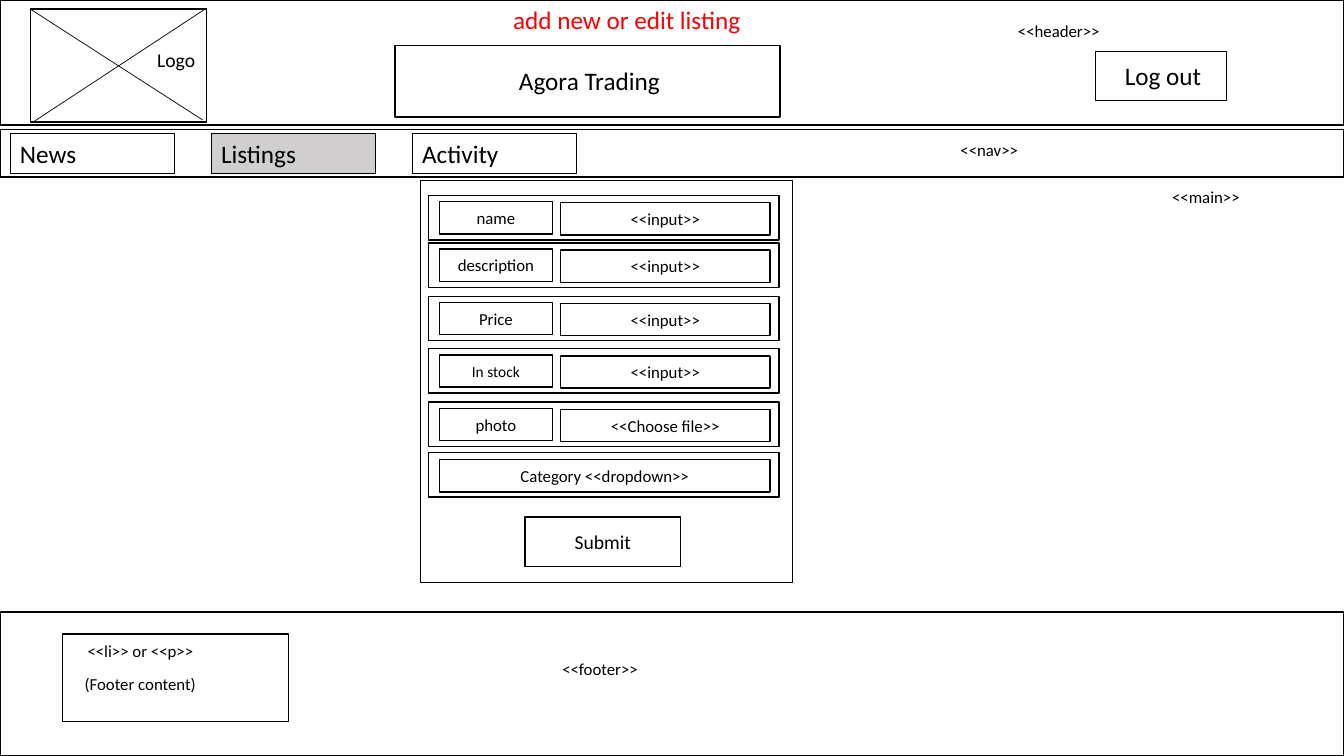
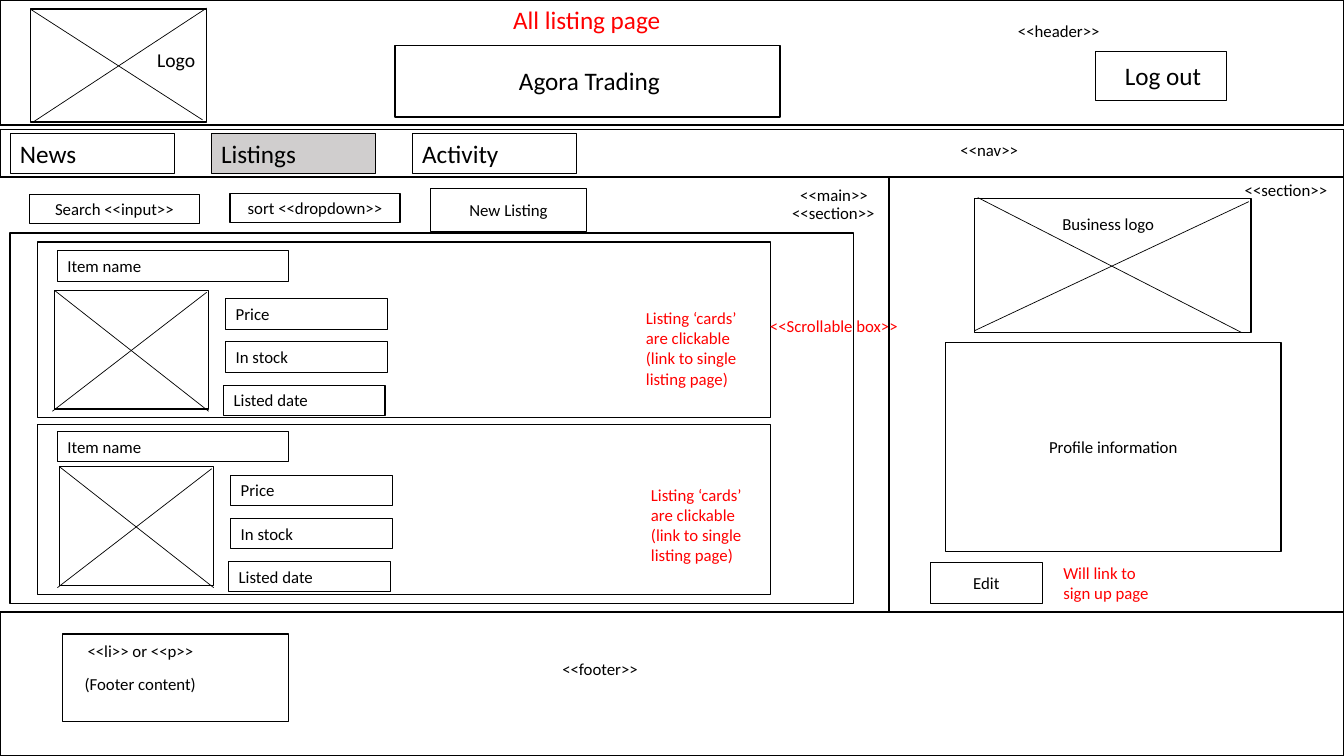
"""Build two website wireframes on a shared page frame."""
from lxml.etree import SubElement
from pptx import Presentation
from pptx.dml.color import RGBColor
from pptx.enum.shapes import MSO_CONNECTOR, MSO_SHAPE
from pptx.enum.text import MSO_ANCHOR, MSO_AUTO_SIZE, PP_ALIGN
from pptx.oxml.ns import qn
from pptx.util import Inches, Pt

COLORS = {"ink": "000000", "note": "FF0000", "active": "D0CECE", "paper": "FFFFFF"}
FONT = "Calibri"
CELL = 0.1
COLUMNS, ROWS = 133.33, 75
TITLE_ONLY = 5
CARD_NOTE = "Listing ‘cards’ are clickable (link to single listing page)"


def cells(*counts):
    return [Inches(count * CELL) for count in counts]


def color(name):
    return RGBColor.from_string(COLORS[name])


def write(shape, text, size=12, ink="ink", centered=False):
    frame = shape.text_frame
    frame.word_wrap = True
    frame.auto_size = MSO_AUTO_SIZE.NONE
    frame.vertical_anchor = MSO_ANCHOR.MIDDLE if centered else MSO_ANCHOR.TOP
    paragraph = frame.paragraphs[0]
    paragraph.alignment = PP_ALIGN.CENTER if centered else PP_ALIGN.LEFT
    run = paragraph.add_run()
    run.text = text
    run.font.name = FONT
    run.font.size = Pt(size)
    run.font.color.rgb = color(ink)


def add_label(slide, area, text, **text_format):
    write(slide.shapes.add_textbox(*cells(*area)), text, **text_format)


def add_box(slide, area, text=None, fill=None, weight=1, **text_format):
    shape = slide.shapes.add_shape(MSO_SHAPE.RECTANGLE, *cells(*area))
    shape.shadow.inherit = False
    if fill:
        shape.fill.solid()
        shape.fill.fore_color.rgb = color(fill)
    else:
        shape.fill.background()
    shape.line.color.rgb = color("ink")
    shape.line.width = Pt(weight)
    if text:
        write(shape, text, **text_format)


def add_button(slide, area, text, **box_format):
    add_box(slide, area, text, centered=True, **box_format)


def add_field(slide, area, text, **box_format):
    add_box(slide, area, text, weight=0.75, **box_format)


def add_image_box(slide, area, *diagonals):
    add_box(slide, area)
    left, top = area[:2]
    for x1, y1, x2, y2 in diagonals:
        ends = cells(left + x1, top + y1, left + x2, top + y2)
        line = slide.shapes.add_connector(MSO_CONNECTOR.STRAIGHT, *ends)
        line.line.color.rgb = color("ink")
        line.line.width = Pt(0.5)
        SubElement(line._element.spPr, qn("a:effectLst"))


def add_page(presentation, title, main_label):
    slide = presentation.slides.add_slide(presentation.slide_layouts[TITLE_ONLY])
    heading = slide.shapes.title
    heading.left, heading.top, heading.width, heading.height = cells(49.9, -0.1, 44.4, 4)
    write(heading, title, size=18, ink="note")

    for top, height in ((0, 12.4), (12.85, 4.7), (60.7, ROWS - 60.7)):
        add_box(slide, (0, top, COLUMNS, height))
    add_image_box(slide, (3, 0.9, 17.5, 11.2), (0, 0, 17.1, 11), (17.5, -0.1, 0.3, 11.2))
    add_label(slide, (14.6, 4.3, 6.5, 3.4), "Logo", size=14)
    add_box(slide, (39.2, 4.5, 38.2, 7.1))
    add_label(slide, (50.5, 6, 18.9, 4), "Agora Trading", size=18)
    add_box(slide, (108.7, 5.1, 13, 4.9))
    add_label(slide, (110.6, 5.5, 11.9, 4), "Log out", size=18)

    for index, (text, fill) in enumerate((("News", None), ("Listings", "active"), ("Activity", None))):
        add_field(slide, (1 + index * 19.95, 13.2, 16.3, 4), text, fill=fill, size=18)

    add_box(slide, (6.2, 62.9, 22.4, 8.7))
    for area, text in (
        ((100, 1.6, 17.5, 3), "<<header>>"),
        ((94.3, 13.4, 17.5, 3), "<<nav>>"),
        ((*main_label, 8.9, 3), "<<main>>"),
        ((54.8, 64.9, 15.9, 3), "<<footer>>"),
        ((7.7, 63.1, 14.9, 3), "<<li>> or <<p>>"),
        ((7.4, 66.3, 14.9, 3), "(Footer content)"),
    ):
        add_label(slide, area, text)
    return slide


def add_form_row(slide, top, name=None, entry="<<input>>", size=12):
    add_box(slide, (42.5, top, 34.8, 4.4))
    left = 43.6
    if name:
        add_button(slide, (left, top + 0.6, 11.2, 3.2), name, size=size)
        left = 55.6
    add_button(slide, (left, top + 0.7, 76.4 - left, 3.2), entry)


def add_card(slide, top, height, name_top, image_left, image_top):
    add_box(slide, (3.75, top, 72.7, height))
    add_field(slide, (5.7, name_top, 22.9, 3), "Item name")
    add_image_box(slide, (image_left, image_top, 15.3, 11.8),
                  (0, 0, 15.3, 12), (15.1, 0.2, -0.2, 12))
    for index, (text, shift) in enumerate((("Price", 17), ("In stock", 17), ("Listed date", 16.8))):
        area = (image_left + shift, image_top + 0.85 + index * 4.28, 16, 3)
        add_field(slide, area, text)
    add_label(slide, (image_left + 57.7, image_top + 1.25, 12, 9.1), CARD_NOTE, ink="note")


def build_edit_page(presentation):
    slide = add_page(presentation, "add new or edit listing", (115.3, 18))
    add_box(slide, (41.7, 17.9, 36.9, 39.9))
    add_form_row(slide, 19.4, "name")
    add_form_row(slide, 24.1, "description")
    add_form_row(slide, 29.4, "Price")
    add_form_row(slide, 34.6, "In stock", size=11)
    add_form_row(slide, 39.9, "photo", "<<Choose file>>")
    add_form_row(slide, 44.9, entry="Category <<dropdown>>")
    add_button(slide, (52.1, 51.3, 15.4, 4.9), "Submit", size=14)


def build_listing_page(presentation):
    slide = add_page(presentation, "All listing page", (78.4, 17.8))
    add_button(slide, (2.9, 19.3, 16.9, 2.9), "Search <<input>>", fill="paper")
    add_button(slide, (22.8, 19.2, 16.9, 2.9), "sort <<dropdown>>", fill="paper")
    add_button(slide, (42.7, 18.7, 15.5, 4.3), "New Listing", fill="paper")
    add_label(slide, (77.6, 19.6, 10.6, 3), "<<section>>")
    add_box(slide, (1, 23.1, 83.7, 36.8))
    add_card(slide, 24, 17.4, 24.9, 5.4, 28.8)
    add_card(slide, 42.1, 16.9, 42.8, 5.9, 46.3)
    add_label(slide, (75.4, 30.8, 15, 3), "<<Scrollable box>>", ink="note")

    add_box(slide, (88.2, 17.5, COLUMNS - 88.2, 43.3))
    add_label(slide, (122.5, 17.3, 10.6, 3), "<<section>>")
    add_image_box(slide, (96.7, 19.7, 27.4, 13.3), (0.3, -0.1, 26.5, 13.3), (0, 13.1, 27.2, 0.3))
    add_label(slide, (104.4, 20.7, 12.2, 3), "Business logo")
    add_button(slide, (93.8, 34, 33.3, 20.7), "Profile information")
    add_button(slide, (92.3, 55.8, 11.1, 4.1), "Edit")
    add_label(slide, (104.5, 55.3, 12.1, 5), "Will link to sign up page", ink="note")


def main():
    presentation = Presentation()
    presentation.slide_width, presentation.slide_height = cells(COLUMNS, ROWS)
    build_edit_page(presentation)
    build_listing_page(presentation)
    presentation.save("out.pptx")


if __name__ == "__main__":
    main()
